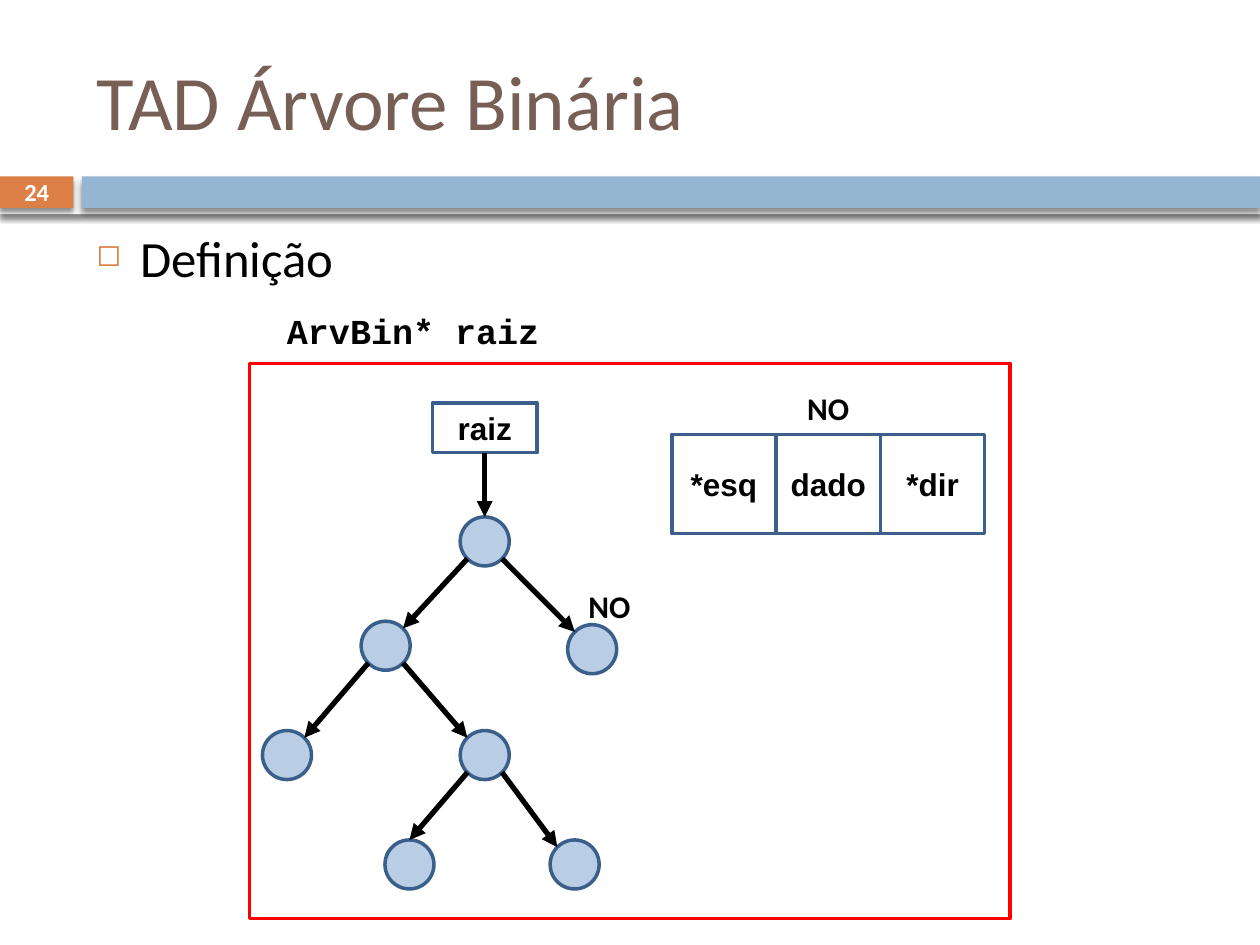
from lxml.etree import SubElement
from pptx import Presentation
from pptx.dml.color import RGBColor
from pptx.enum.shapes import MSO_CONNECTOR as Connector, MSO_SHAPE as Shape
from pptx.enum.text import MSO_ANCHOR as Anchor, PP_ALIGN as Align
from pptx.oxml.ns import qn
from pptx.util import Pt

COLORS = {
    "white": "FFFFFF", "black": "000000", "title": "775F55",
    "orange": "DD8047", "band": "94B6D2", "node": "B9CDE5",
    "outline": "3A5F8B", "frame": "FF0000",
}
DIAMETER = 28
DIAGONAL = DIAMETER / 2 * 0.5 ** 0.5
NODES = {
    "root": (277, 309.4), "left": (220.4, 369), "right": (338.4, 371),
    "left_left": (164, 431.5), "left_right": (277, 431.5),
    "inner_left": (234, 494), "inner_right": (328.4, 494),
}
EDGES = [
    ("root", "left"), ("root", "right"),
    ("left", "left_left"), ("left", "left_right"),
    ("left_right", "inner_left"), ("left_right", "inner_right"),
]
LABEL = {"name": "Arial", "size": Pt(18), "bold": True}
CAPTION = {"name": "Calibri", "size": Pt(18), "bold": True}


def rgb(color):
    return RGBColor.from_string(COLORS[color])


def write(holder, text, style, color="black", align=Align.CENTER, anchor=Anchor.MIDDLE):
    frame = holder.text_frame
    frame.word_wrap = True
    frame.vertical_anchor = anchor
    paragraph = frame.paragraphs[0]
    paragraph.alignment = align
    run = paragraph.add_run()
    run.text = text
    for attribute, value in style.items():
        setattr(run.font, attribute, value)
    run.font.color.rgb = rgb(color)
    return paragraph


def add_text(slide, box, text, style, **layout):
    return write(slide.shapes.add_textbox(*map(Pt, box)), text, style, **layout)


def add_figure(slide, kind, box, fill=None, line=None):
    figure = slide.shapes.add_shape(kind, *map(Pt, box))
    figure.shadow.inherit = False
    if fill:
        figure.fill.solid()
        figure.fill.fore_color.rgb = rgb(fill)
    else:
        figure.fill.background()
    if line:
        figure.line.color.rgb = rgb(line)
        figure.line.width = Pt(2)
    else:
        figure.line.fill.background()
    return figure


def add_band(slide, box, fill):
    band = add_figure(slide, Shape.RECTANGLE, box, fill)
    effects = band._element.spPr.find(qn("a:effectLst"))
    shadow = SubElement(effects, qn("a:outerShdw"), blurRad=str(Pt(3)),
                        dist=str(Pt(2.4)), dir="5400000", rotWithShape="0")
    tint = SubElement(shadow, qn("a:srgbClr"), val=COLORS["black"])
    SubElement(tint, qn("a:alpha"), val="45000")


def add_cell(slide, box, text):
    cell = add_figure(slide, Shape.RECTANGLE, box, line="outline")
    write(cell, text, LABEL)
    return cell


def add_node(slide, center):
    x, y = center
    box = (x - DIAMETER / 2, y - DIAMETER / 2, DIAMETER, DIAMETER)
    return add_figure(slide, Shape.OVAL, box, "node", "outline")


def add_arrow(slide, start, end):
    arrow = slide.shapes.add_connector(Connector.STRAIGHT, *map(Pt, start + end))
    arrow.line.color.rgb = rgb("black")
    arrow.line.width = Pt(3)
    SubElement(arrow.line._get_or_add_ln(), qn("a:tailEnd"), type="triangle")
    SubElement(arrow._element.spPr, qn("a:effectLst"))
    return arrow


def add_edge(slide, parent, child):
    (px, py), (cx, cy) = NODES[parent], NODES[child]
    side = 1 if cx > px else -1
    start = (px + side * DIAGONAL, py + DIAGONAL)
    end = (cx - side * DIAGONAL, cy - DIAGONAL)
    if child == "inner_left":
        end = (cx, cy - DIAMETER / 2)
    add_arrow(slide, start, end)


def add_bullet(paragraph):
    properties = paragraph._p.get_or_add_pPr()
    properties.set("marL", str(Pt(25.2)))
    properties.set("indent", str(-Pt(25.2)))
    color = SubElement(properties, qn("a:buClr"))
    SubElement(color, qn("a:srgbClr"), val=COLORS["orange"])
    SubElement(properties, qn("a:buSzPct"), val="60000")
    SubElement(properties, qn("a:buChar"), char="◻")


def add_header(slide):
    add_band(slide, (0, 97.2, 720, 25.2), "white")
    add_band(slide, (0, 100.8, 42, 18), "orange")
    add_band(slide, (46.8, 100.8, 673.2, 18), "band")
    title = slide.shapes.title
    for side, value in zip(("left", "top", "width", "height"), (48, 18, 642, 78)):
        setattr(title, side, Pt(value))
    write(title, "TAD Árvore Binária", {"name": "Calibri", "size": Pt(44)},
          color="title", align=Align.LEFT)
    add_text(slide, (0, 100, 42, 19.5), "24",
             {"name": "Calibri", "size": Pt(14), "bold": True}, color="white")


def add_tree(slide):
    nodes = {name: add_node(slide, center) for name, center in NODES.items()}
    for parent, child in EDGES:
        add_edge(slide, parent, child)
    pointer = add_cell(slide, (247, 230.4, 60, 28.2), "raiz")
    arrow = add_arrow(slide, (277, 258.6), (277, 295.4))
    arrow.begin_connect(pointer, 2)
    arrow.end_connect(nodes["root"], 0)
    add_text(slide, (244.5, 332, 207.5, 29), "NO", CAPTION, anchor=Anchor.TOP)


def add_record(slide):
    for column, field in enumerate(("*esq", "dado", "*dir")):
        add_cell(slide, (383.9 + column * 59.6, 248.2, 59.6, 56.6), field)
    add_text(slide, (369.5, 219, 207.5, 29), "NO", CAPTION, anchor=Anchor.TOP)


def main():
    deck = Presentation()
    deck.slide_width, deck.slide_height = Pt(720), Pt(540)
    slide = deck.slides.add_slide(deck.slide_layouts[5])
    add_header(slide)
    definition = add_text(slide, (48, 126, 642, 354), "Definição",
                          {"name": "Calibri", "size": Pt(29)},
                          align=Align.LEFT, anchor=Anchor.TOP)
    add_bullet(definition)
    add_record(slide)
    add_tree(slide)
    add_figure(slide, Shape.RECTANGLE, (142.6, 207.6, 434.6, 317.4), line="frame")
    add_text(slide, (148.3, 173.5, 175.7, 31), "ArvBin* raiz",
             {"name": "Courier New", "size": Pt(20), "bold": True}, anchor=Anchor.TOP)
    deck.save("out.pptx")


if __name__ == "__main__":
    main()
